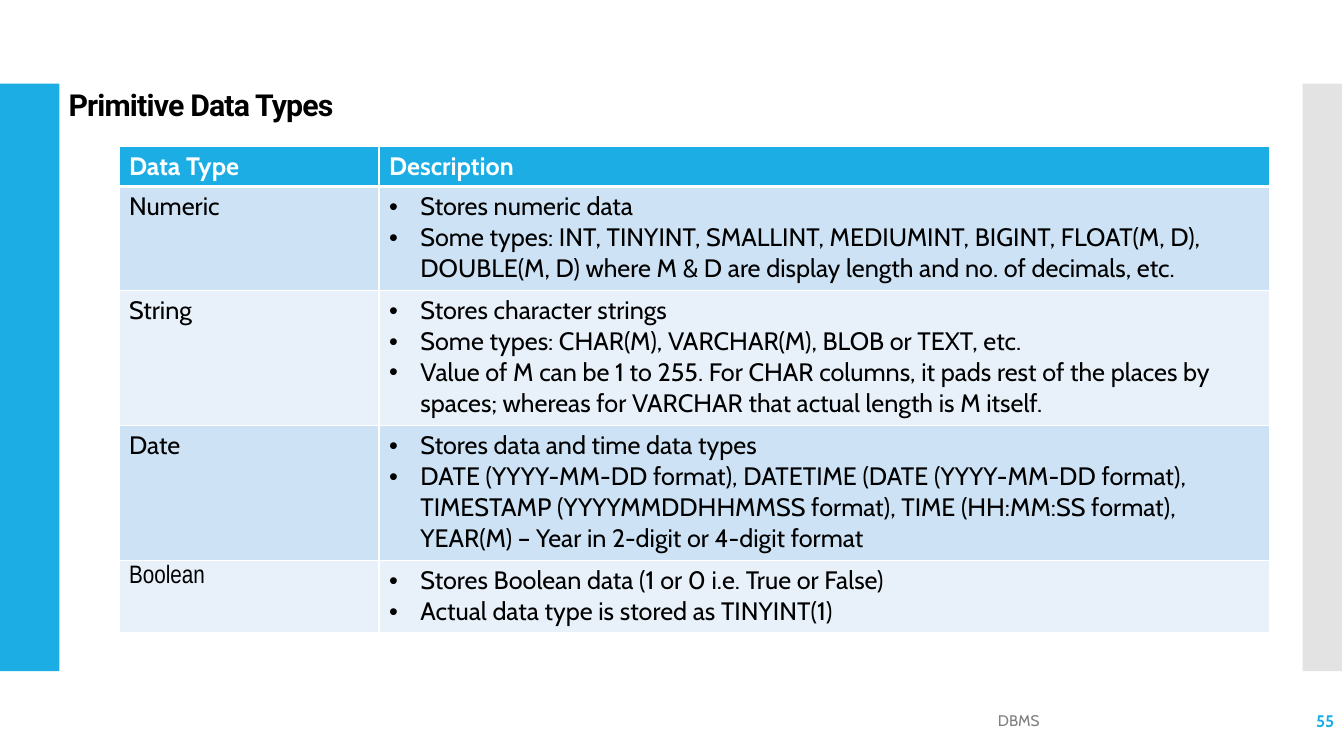
from dataclasses import dataclass

from lxml.etree import SubElement
from pptx import Presentation
from pptx.dml.color import RGBColor
from pptx.enum.shapes import MSO_SHAPE
from pptx.enum.text import MSO_ANCHOR, MSO_AUTO_SIZE, PP_ALIGN
from pptx.oxml import parse_xml
from pptx.oxml.ns import nsdecls, qn
from pptx.util import Inches, Pt

TITLE = "Primitive Data Types"
FOOTER = "DBMS"
PAGE_NUMBER = "55"
HEADERS = ("Data Type", "Description")
# Type name, description bullets, number of text lines in the row
DATA_TYPES = [
    ("Numeric", [
        "Stores numeric data",
        "Some types: INT, TINYINT, SMALLINT, MEDIUMINT, BIGINT, FLOAT(M, D), "
        "DOUBLE(M, D) where M & D are display length and no. of decimals, etc.",
    ], 3),
    ("String", [
        "Stores character strings",
        "Some types: CHAR(M), VARCHAR(M), BLOB or TEXT, etc.",
        "Value of M can be 1 to 255. For CHAR columns, it pads rest of the places by "
        "spaces; whereas for VARCHAR that actual length is M itself.",
    ], 4),
    ("Date", [
        "Stores data and time data types",
        "DATE (YYYY-MM-DD format), DATETIME (DATE (YYYY-MM-DD format), "
        "TIMESTAMP (YYYYMMDDHHMMSS format), TIME (HH:MM:SS format), "
        "YEAR(M) – Year in 2-digit or 4-digit format",
    ], 4),
    ("Boolean", [
        "Stores Boolean data (1 or 0 i.e. True or False)",
        "Actual data type is stored as TINYINT(1)",
    ], 2),
]
NARROW_TYPES = {"Boolean"}


@dataclass(frozen=True)
class Theme:
    accent: str = "1CADE4"
    side: str = "C8C8C8"
    muted: str = "808080"
    ink: str = "000000"
    paper: str = "FFFFFF"
    bands: tuple = ("CDE3F5", "E8F1FA")
    title_font: str = "Roboto"
    body_font: str = "Cabin"
    narrow_font: str = "Arial Narrow"
    title_size: float = 21.6
    table_size: float = 18
    footer_size: float = 11
    number_size: float = 12


THEME = Theme()
COLUMN_WIDTHS = (2.58, 8.83)
HEADER_HEIGHT = 0.39
LINE_HEIGHT = 0.31
CELL_PADDING = 0.1
BULLET_INDENT = 0.31


def format_font(font, name, size, color, bold=False):
    values = {"name": name, "size": Pt(size), "bold": bold}
    for attribute, value in values.items():
        setattr(font, attribute, value)
    font.color.rgb = RGBColor.from_string(color)


def add_bar(slide, left, width, color, opacity=100):
    bar = slide.shapes.add_shape(
        MSO_SHAPE.RECTANGLE, Inches(left), Inches(0.83), Inches(width), Inches(5.83))
    bar.shadow.inherit = False
    bar.fill.solid()
    bar.fill.fore_color.rgb = RGBColor.from_string(color)
    bar.line.fill.background()
    if opacity < 100:
        fill_color = bar._element.spPr.find(qn("a:solidFill"))[0]
        SubElement(fill_color, qn("a:alpha"), val=str(opacity * 1000))


def add_title(slide):
    title = slide.shapes.title
    box = {"left": 0.58, "top": 0.86, "width": 10.44, "height": 0.4}
    for attribute, value in box.items():
        setattr(title, attribute, Inches(value))
    frame = title.text_frame
    frame.text = TITLE
    frame.auto_size = MSO_AUTO_SIZE.NONE
    frame.vertical_anchor = MSO_ANCHOR.MIDDLE
    paragraph = frame.paragraphs[0]
    paragraph.alignment = PP_ALIGN.LEFT
    paragraph.line_spacing = 0.9
    run = paragraph.runs[0]
    format_font(run.font, THEME.title_font, THEME.title_size, THEME.ink, True)
    run.font._element.set("spc", "-60")


def add_footer_text(slide, text, left, width, alignment, size, color, bold=False):
    box = slide.shapes.add_textbox(Inches(left), Inches(6.95), Inches(width), Inches(0.4))
    frame = box.text_frame
    frame.word_wrap = True
    frame.vertical_anchor = MSO_ANCHOR.MIDDLE
    frame.text = text
    paragraph = frame.paragraphs[0]
    paragraph.alignment = alignment
    format_font(paragraph.runs[0].font, THEME.body_font, size, color, bold)


def set_borders(cell, top, bottom):
    """Draw all four borders; top and bottom are widths in points."""
    widths = {"lnL": 1, "lnR": 1, "lnT": top, "lnB": bottom}
    for position, (tag, width) in enumerate(widths.items()):
        border = parse_xml(
            f'<a:{tag} {nsdecls("a")} w="{Pt(width)}"><a:solidFill>'
            f'<a:srgbClr val="{THEME.paper}"/></a:solidFill></a:{tag}>')
        cell._tc.get_or_add_tcPr().insert(position, border)


def add_bullet(paragraph):
    properties = paragraph._p.get_or_add_pPr()
    indent = Inches(BULLET_INDENT)
    properties.set("marL", str(indent))
    properties.set("indent", str(-indent))
    SubElement(properties, qn("a:buFont"), typeface="Arial")
    SubElement(properties, qn("a:buChar"), char="•")


def fill_cell(cell, lines, fill, color, font_name, bold=False, bulleted=False):
    cell.fill.solid()
    cell.fill.fore_color.rgb = RGBColor.from_string(fill)
    cell.text = "\n".join(lines)
    for paragraph in cell.text_frame.paragraphs:
        if bulleted:
            add_bullet(paragraph)
        format_font(paragraph.runs[0].font, font_name, THEME.table_size, color, bold)


def add_type_table(slide):
    heights = [HEADER_HEIGHT] + [
        CELL_PADDING + LINE_HEIGHT * lines for _, _, lines in DATA_TYPES]
    frame = slide.shapes.add_table(
        len(heights), len(HEADERS), Inches(1.18), Inches(1.45),
        Inches(sum(COLUMN_WIDTHS)), Inches(sum(heights)))
    table = frame.table
    for column, width in zip(table.columns, COLUMN_WIDTHS):
        column.width = Inches(width)
    for row, height in zip(table.rows, heights):
        row.height = Inches(height)

    for column, header in enumerate(HEADERS):
        fill_cell(table.cell(0, column), [header], THEME.accent, THEME.paper,
                  THEME.body_font, bold=True)
    for row, (name, bullets, _) in enumerate(DATA_TYPES, start=1):
        band = THEME.bands[(row - 1) % 2]
        name_font = THEME.narrow_font if name in NARROW_TYPES else THEME.body_font
        fill_cell(table.cell(row, 0), [name], band, THEME.ink, name_font)
        fill_cell(table.cell(row, 1), bullets, band, THEME.ink, THEME.body_font,
                  bulleted=True)
    for row in range(len(heights)):
        for column in range(len(HEADERS)):
            set_borders(table.cell(row, column), top=3 if row == 1 else 1,
                        bottom=3 if row == 0 else 1)


def main():
    presentation = Presentation()
    presentation.slide_width = Inches(13.33)
    presentation.slide_height = Inches(7.5)
    slide = presentation.slides.add_slide(presentation.slide_layouts[5])
    add_bar(slide, 0, 0.59, THEME.accent)
    add_bar(slide, 12.92, 0.39, THEME.side, opacity=50)
    add_title(slide)
    add_footer_text(slide, FOOTER, 6.87, 6.47, PP_ALIGN.CENTER,
                    THEME.footer_size, THEME.muted)
    add_footer_text(slide, PAGE_NUMBER, 11.66, 1.67, PP_ALIGN.RIGHT,
                    THEME.number_size, THEME.accent, bold=True)
    add_type_table(slide)
    presentation.save("out.pptx")


if __name__ == "__main__":
    main()
